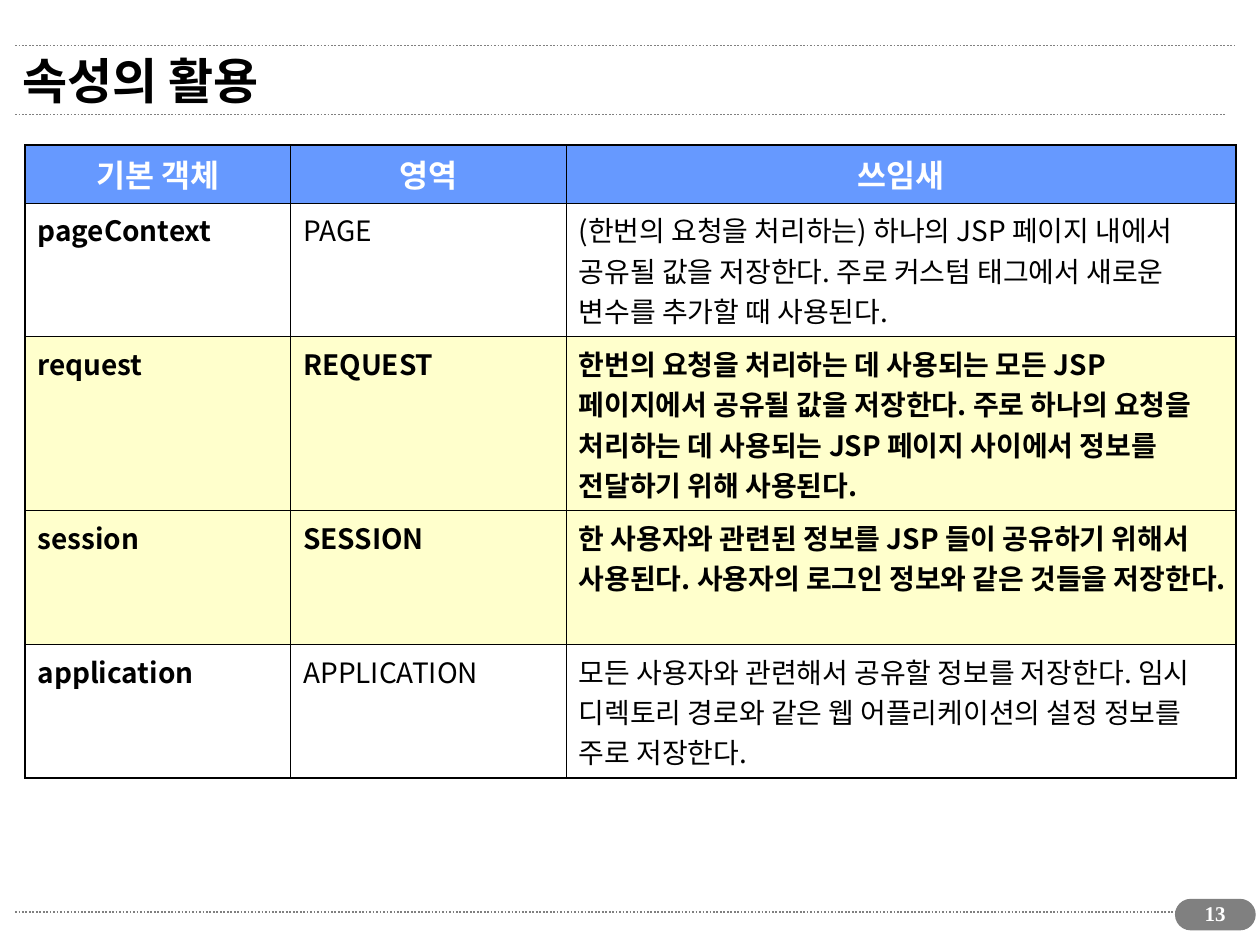
from lxml.etree import SubElement
from pptx import Presentation
from pptx.dml.color import RGBColor
from pptx.enum.dml import MSO_LINE
from pptx.enum.shapes import MSO_CONNECTOR, MSO_SHAPE
from pptx.enum.text import MSO_ANCHOR, MSO_AUTO_SIZE, PP_ALIGN
from pptx.oxml.ns import qn
from pptx.util import Pt

TITLE = "속성의 활용"
PAGE_NUMBER = "13"
HEADINGS = ("기본 객체", "영역", "쓰임새")
SCOPES = [
    ("pageContext", "PAGE",
     "(한번의 요청을 처리하는) 하나의 JSP 페이지 내에서 공유될 값을 저장한다. "
     "주로 커스텀 태그에서 새로운 변수를 추가할 때 사용된다."),
    ("request", "REQUEST",
     "한번의 요청을 처리하는 데 사용되는 모든 JSP 페이지에서 공유될 값을 저장한다. "
     "주로 하나의 요청을 처리하는 데 사용되는 JSP 페이지 사이에서 정보를 전달하기 위해 사용된다."),
    ("session", "SESSION",
     "한 사용자와 관련된 정보를 JSP 들이 공유하기 위해서 사용된다. "
     "사용자의 로그인 정보와 같은 것들을 저장한다."),
    ("application", "APPLICATION",
     "모든 사용자와 관련해서 공유할 정보를 저장한다. "
     "임시 디렉토리 경로와 같은 웹 어플리케이션의 설정 정보를 주로 저장한다."),
]
HIGHLIGHTED = {"request", "session"}
COLUMN_WIDTHS = (151.8, 157.4, 382.8)
ROW_HEIGHTS = (29, 65, 84, 65, 65)
RULES = [(521.3, 700.6), (65.5, 699.8), (26, 705.6)]
RULE_LEFT = 8.6

KOREAN_FONT = "Noto Sans CJK KR"
NUMBER_FONT = "Times New Roman"
BLACK, WHITE, GRAY = "000000", "FFFFFF", "808080"
HEADER_BLUE, PALE_YELLOW = "6699FF", "FFFFCC"
OUTER, INNER = 1.08, 0.45


def color(value):
    return RGBColor.from_string(value)


def write(frame, text, size, ink, bold, align=PP_ALIGN.LEFT, face=KOREAN_FONT):
    frame.text = text
    paragraph = frame.paragraphs[0]
    paragraph.alignment = align
    font = paragraph.font
    font.size, font.bold, font.name = Pt(size), bold, face
    font.color.rgb = color(ink)
    properties = paragraph._p.pPr.find(qn("a:defRPr"))
    SubElement(properties, qn("a:ea")).set("typeface", face)


def add_borders(cell, widths):
    properties = cell._tc.get_or_add_tcPr()
    for index, (side, width) in enumerate(widths.items()):
        edge = properties.makeelement(qn(f"a:ln{side}"), {"w": str(Pt(width))})
        fill = SubElement(edge, qn("a:solidFill"))
        SubElement(fill, qn("a:srgbClr")).set("val", BLACK)
        properties.insert(index, edge)


def add_rule(slide, top, right):
    rule = slide.shapes.add_connector(
        MSO_CONNECTOR.STRAIGHT, Pt(RULE_LEFT), Pt(top), Pt(right), Pt(top))
    rule.line.color.rgb = color(GRAY)
    rule.line.width = Pt(1)
    rule.line.dash_style = MSO_LINE.ROUND_DOT
    SubElement(rule._element.spPr, qn("a:effectLst"))


def add_title(slide):
    title = slide.shapes.title
    title.left, title.top, title.width, title.height = map(Pt, (5.8, 20.2, 655.2, 51.1))
    title.text_frame.auto_size = MSO_AUTO_SIZE.NONE
    title.text_frame.vertical_anchor = MSO_ANCHOR.MIDDLE
    write(title.text_frame, TITLE, 28, BLACK, True)


def add_scope_table(slide):
    rows = [HEADINGS, *SCOPES]
    last_row, last_column = len(rows) - 1, len(HEADINGS) - 1
    table = slide.shapes.add_table(
        len(rows), len(HEADINGS), Pt(14.4), Pt(82.8),
        Pt(sum(COLUMN_WIDTHS)), Pt(sum(ROW_HEIGHTS))).table
    table.first_row = table.horz_banding = False
    for column, width in zip(table.columns, COLUMN_WIDTHS):
        column.width = Pt(width)
    for row, height in zip(table.rows, ROW_HEIGHTS):
        row.height = Pt(height)
    for r, texts in enumerate(rows):
        highlighted = texts[0] in HIGHLIGHTED
        for c, text in enumerate(texts):
            cell = table.cell(r, c)
            if r == 0:
                background = HEADER_BLUE
                write(cell.text_frame, text, 18, WHITE, True, PP_ALIGN.CENTER)
            else:
                background = PALE_YELLOW if highlighted else WHITE
                write(cell.text_frame, text, 16, BLACK, c == 0 or highlighted)
            cell.fill.solid()
            cell.fill.fore_color.rgb = color(background)
            add_borders(cell, {
                "L": OUTER if c == 0 else INNER,
                "R": OUTER if c == last_column else INNER,
                "T": OUTER if r == 0 else INNER,
                "B": OUTER if r == last_row else INNER,
            })


def add_page_number(slide):
    pill = slide.shapes.add_shape(
        MSO_SHAPE.ROUNDED_RECTANGLE, Pt(671.8), Pt(514), Pt(45.4), Pt(17.3))
    pill.adjustments[0] = 0.5
    pill.shadow.inherit = False
    pill.fill.solid()
    pill.fill.fore_color.rgb = pill.line.color.rgb = color(GRAY)
    pill.line.width = Pt(0.75)
    number = slide.shapes.add_textbox(Pt(674.6), Pt(511.2), Pt(39.6), Pt(24.5))
    number.text_frame.word_wrap = True
    write(number.text_frame, PAGE_NUMBER, 12, WHITE, True, PP_ALIGN.CENTER, NUMBER_FONT)


def main():
    presentation = Presentation()
    presentation.slide_width, presentation.slide_height = Pt(720), Pt(540)
    slide = presentation.slides.add_slide(presentation.slide_layouts[5])
    for top, right in RULES:
        add_rule(slide, top, right)
    add_title(slide)
    add_scope_table(slide)
    add_page_number(slide)
    presentation.save("out.pptx")


if __name__ == "__main__":
    main()
